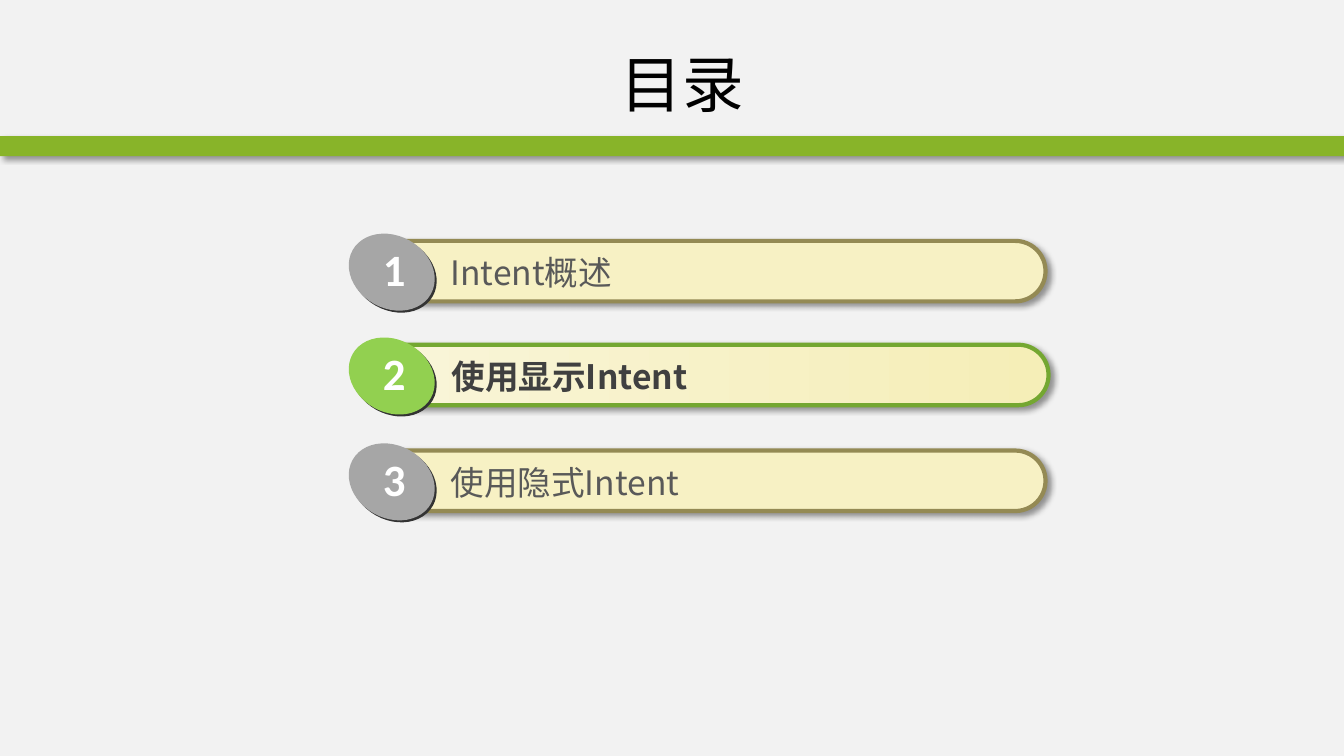
"""Build the agenda slide with three numbered entries, the second highlighted."""
from dataclasses import dataclass

from lxml import etree
from pptx import Presentation
from pptx.dml.color import RGBColor
from pptx.enum.shapes import MSO_SHAPE as SHAPE
from pptx.enum.text import MSO_ANCHOR as ANCHOR, MSO_AUTO_SIZE as AUTO, PP_ALIGN as ALIGN
from pptx.oxml.ns import qn
from pptx.util import Inches, Pt

COLORS = {
    "background": "F2F2F2", "band": "88B429", "black": "000000", "white": "FFFFFF",
    "cream": "F7F1C4", "cream_light": "F9F5D9", "cream_dark": "F5EEB7",
    "olive": "948A54", "green_line": "74A731", "green": "92D050",
    "rim": "333333", "gray": "A6A6A6", "text": "595959", "text_active": "404040",
}
CJK, LATIN = "Noto Sans CJK SC", "Calibri"


@dataclass
class Entry:
    number: str
    label: str
    top: float
    active: bool = False


ENTRIES = [
    Entry("1", "Intent概述", 2.39),
    Entry("2", "使用显示Intent", 3.42, True),
    Entry("3", "使用隐式Intent", 4.47),
]


def rgb(name: str) -> RGBColor:
    return RGBColor.from_string(COLORS[name])


def add_shadow(sp) -> None:
    effects = sp._element.spPr.find(qn("a:effectLst"))
    outer = etree.SubElement(effects, qn("a:outerShdw"), blurRad=str(Pt(4)),
                             dist=str(Pt(3)), dir="2700000", algn="tl", rotWithShape="0")
    color = etree.SubElement(outer, qn("a:srgbClr"), val=COLORS["black"])
    etree.SubElement(color, qn("a:alpha"), val="40000")


def add_figure(shapes, kind, box: tuple, fill: str, line: str = "", shadow: bool = False):
    sp = shapes.add_shape(kind, *map(Inches, box))
    sp.fill.solid()
    sp.fill.fore_color.rgb = rgb(fill)
    if line:
        sp.line.color.rgb = rgb(line)
        sp.line.width = Pt(3)
    else:
        sp.line.fill.background()
    sp.shadow.inherit = False
    if shadow:
        add_shadow(sp)
    return sp


def add_text(shapes, box: tuple, text: str, font: str, size: int, color: str,
             bold: bool = False, wrap: bool = True, fit: bool = True):
    sp = shapes.add_textbox(*map(Inches, box))
    tf = sp.text_frame
    tf.word_wrap = wrap
    tf.auto_size = AUTO.SHAPE_TO_FIT_TEXT if fit else AUTO.NONE
    r = tf.paragraphs[0].add_run()
    r.text = text
    r.font.name, r.font.size, r.font.bold = font, Pt(size), bold
    r.font.color.rgb = rgb(color)
    etree.SubElement(r.font._element, qn("a:ea"), typeface=font)
    return sp


def add_entry(slide, entry: Entry) -> None:
    shapes, top, active = slide.shapes.add_group_shape().shapes, entry.top, entry.active
    bar = add_figure(shapes, SHAPE.ROUNDED_RECTANGLE,
                     (3.66, top, 6.74 if active else 6.71, 0.6), "cream",
                     "green_line" if active else "olive", shadow=True)
    bar.adjustments[0] = 0.5
    if active:
        bar.fill.gradient()
        bar.fill.gradient_angle = 0
        for stop, color in zip(bar.fill.gradient_stops, ("cream_light", "cream_dark")):
            stop.color.rgb = rgb(color)
    add_text(shapes, (4.38 if active else 4.37, top + 0.06, 5.34, 0.51), entry.label,
             CJK, 24, "text_active" if active else "text", bold=active)
    for left, rise, color in ((3.46, 0.03, "rim"),
                              (3.44, 0.05, "green" if active else "gray")):
        disc = add_figure(shapes, SHAPE.OVAL, (left, top - rise, 0.89, 0.72), color)
        disc.rotation = 29.3
    add_text(shapes, (3.7, top - 0.04, 0.43, 0.64), entry.number, LATIN, 32, "white",
             bold=True, wrap=False)


def main() -> None:
    prs = Presentation()
    prs.slide_width, prs.slide_height = Inches(13.33), Inches(7.5)
    slide = prs.slides.add_slide(prs.slide_layouts[6])
    slide.background.fill.solid()
    slide.background.fill.fore_color.rgb = rgb("background")
    add_figure(slide.shapes, SHAPE.RECTANGLE, (0, 1.35, 13.33, 0.2), "band", shadow=True)
    title = add_text(slide.shapes, (1.39, 0.3, 10.76, 1.05), "目录", CJK, 44, "black", fit=False)
    title.text_frame.vertical_anchor = ANCHOR.MIDDLE
    title.text_frame.paragraphs[0].alignment = ALIGN.CENTER
    for entry in ENTRIES:
        add_entry(slide, entry)
    prs.save("out.pptx")


if __name__ == "__main__":
    main()
